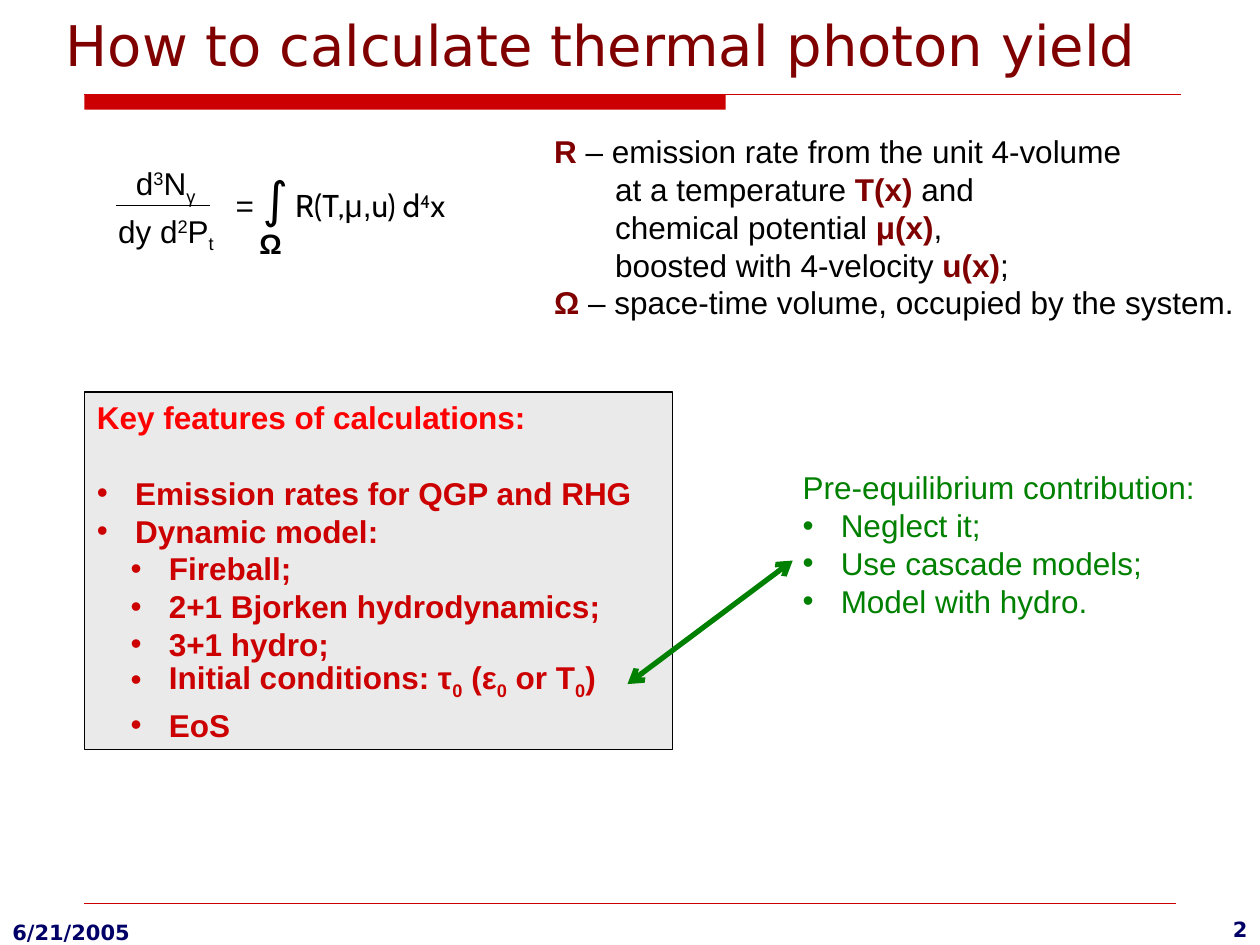
import pptx
import pptx.util
import pptx.dml.color
import pptx.enum.shapes
import pptx.enum.text
import pptx.oxml.ns
from lxml import etree

Cm = pptx.util.Cm
Pt = pptx.util.Pt
RGBColor = pptx.dml.color.RGBColor
qn = pptx.oxml.ns.qn
Align = pptx.enum.text.PP_ALIGN

BLACK = RGBColor(0x00, 0x00, 0x00)
MAROON = RGBColor(0x80, 0x00, 0x00)
RED = RGBColor(0xCC, 0x00, 0x00)
BRIGHT_RED = RGBColor(0xFF, 0x00, 0x00)
GREEN = RGBColor(0x00, 0x80, 0x00)
NAVY = RGBColor(0x00, 0x00, 0x66)
PANEL_GREY = RGBColor(0xEA, 0xEA, 0xEA)
LINE_PITCH = Pt(21.6)
SUPERSCRIPT, SUBSCRIPT = 30000, -25000


def add_run(paragraph, text, color=BLACK, bold=False, baseline=0, size=18, name="Arial"):
    run = paragraph.add_run()
    run.text = text
    run.font.name = name
    run.font.size = Pt(size)
    run.font.bold = bold
    run.font.color.rgb = color
    if baseline:
        run.font._element.set("baseline", str(baseline))


def add_text_box(left, top, width, height, wrap=False):
    shape = slide.shapes.add_textbox(Cm(left), Cm(top), Cm(width), Cm(height))
    shape.text_frame.word_wrap = wrap
    if not wrap:
        shape.text_frame.auto_size = pptx.enum.text.MSO_AUTO_SIZE.SHAPE_TO_FIT_TEXT
    return shape.text_frame


presentation = pptx.Presentation()
presentation.slide_width = Cm(25.4)
presentation.slide_height = Cm(19.05)
slide = presentation.slides.add_slide(presentation.slide_layouts[1])
title, key_features = slide.placeholders

# Title
title.left, title.top, title.width, title.height = Cm(1.07), Cm(0.51), Cm(22.23), Cm(1.19)
title.text_frame.auto_size = pptx.enum.text.MSO_AUTO_SIZE.NONE
title.text_frame.vertical_anchor = pptx.enum.text.MSO_ANCHOR.BOTTOM
title.text_frame.paragraphs[0].alignment = Align.LEFT
add_run(title.text_frame.paragraphs[0], "How to calculate thermal photon yield",
        MAROON, size=32, name="DejaVu Sans")

# Panel with the key features
key_features.left, key_features.top = Cm(1.7), Cm(7.9)
key_features.width, key_features.height = Cm(11.86), Cm(7.21)
key_features.fill.solid()
key_features.fill.fore_color.rgb = PANEL_GREY
key_features.line.color.rgb = BLACK
key_features.line.width = Pt(0.75)
key_features.text_frame.auto_size = pptx.enum.text.MSO_AUTO_SIZE.NONE

# Thick bar under the title
title_bar = slide.shapes.add_shape(pptx.enum.shapes.MSO_SHAPE.RECTANGLE,
                                   Cm(1.7), Cm(1.9), Cm(12.93), Cm(0.31))
title_bar.shadow.inherit = False
title_bar.fill.solid()
title_bar.fill.fore_color.rgb = RED
title_bar.line.fill.background()

# Rules, fraction bar and double arrow
lines = [
    (1.7, 1.9, 23.8, 1.9, RED, 0.75, False),
    (1.7, 18.21, 23.7, 18.21, RED, 0.25, False),
    (2.34, 4.14, 4.24, 4.14, BLACK, 0.75, False),
    (12.65, 13.79, 15.98, 11.3, GREEN, 3, True),
]
for x1, y1, x2, y2, color, width, arrows in lines:
    connector = slide.shapes.add_connector(pptx.enum.shapes.MSO_CONNECTOR.STRAIGHT,
                                           Cm(x1), Cm(y1), Cm(x2), Cm(y2))
    connector.line.color.rgb = color
    connector.line.width = Pt(width)
    if arrows:
        for end in ("a:headEnd", "a:tailEnd"):
            etree.SubElement(connector.line._get_or_add_ln(), qn(end), type="arrow")
    etree.SubElement(connector._element.spPr, qn("a:effectLst"))

# Yield formula
numerator = add_text_box(2.49, 3.18, 1.73, 1.12).paragraphs[0]
denominator = add_text_box(2.13, 4.14, 2.44, 1.12).paragraphs[0]
for paragraph, parts in (
    (numerator, (("d", 0), ("3", SUPERSCRIPT), ("N", 0), ("γ", SUBSCRIPT))),
    (denominator, (("dy d", 0), ("2", SUPERSCRIPT), ("P", 0), ("t", SUBSCRIPT))),
):
    for text, baseline in parts:
        add_run(paragraph, text, baseline=baseline)

integral = add_text_box(4.5, 3.28, 5.05, 1.45).paragraphs[0]
add_run(integral, "= ")
add_run(integral, "∫", size=28, name="Cabin")
add_run(integral, " R(T,", name="Cabin")
add_run(integral, "μ,")
add_run(integral, "u) d", name="Cabin")
add_run(integral, "4", baseline=SUPERSCRIPT, name="Cabin")
add_run(integral, "x", name="Cabin")
domain = add_text_box(4.98, 4.45, 0.94, 0.94).paragraphs[0]
add_run(domain, "Ω", bold=True, size=16)

# Explanation of symbols: text before, symbol, text after
legend = add_text_box(10.92, 2.54, 14.33, 4.06)
legend_lines = [
    ("", "R", " – emission rate from the unit 4-volume"),
    ("at a temperature ", "T(x)", " and"),
    ("chemical potential ", "μ(x)", ","),
    ("boosted with 4-velocity ", "u(x)", ";"),
    ("", "Ω ", "– space-time volume, occupied by the system."),
]
for index, (before, symbol, after) in enumerate(legend_lines):
    paragraph = legend.add_paragraph() if index else legend.paragraphs[0]
    paragraph.line_spacing = LINE_PITCH
    if before:
        paragraph._p.get_or_add_pPr().set("marL", str(Cm(1.23)))
        add_run(paragraph, before)
    add_run(paragraph, symbol, MAROON, bold=True)
    add_run(paragraph, after)

# Lists: heading, then (level, space before, run texts); every second run is a subscript
pre_equilibrium = add_text_box(15.93, 9.32, 8.41, 3.3)
lists = [
    (key_features.text_frame, "Key features of calculations:", BRIGHT_RED, RED, True, [
        (0, 21.6, ["Emission rates for QGP and RHG"]),
        (0, 0, ["Dynamic model:"]),
        (1, 0, ["Fireball;"]),
        (1, 0, ["2+1 Bjorken hydrodynamics;"]),
        (1, 0, ["3+1 hydro;"]),
        (1, 0, ["Initial conditions: τ", "0", " (ε", "0", " or T", "0", ")"]),
        (1, 2.8, ["EoS"]),
    ]),
    (pre_equilibrium, "Pre-equilibrium contribution:", GREEN, GREEN, False, [
        (0, 0, ["Neglect it;"]),
        (0, 0, ["Use cascade models;"]),
        (0, 0, ["Model with hydro."]),
    ]),
]
for frame, heading, heading_color, color, bold, items in lists:
    paragraph = frame.paragraphs[0]
    paragraph.line_spacing = LINE_PITCH
    paragraph.space_before = Pt(0)
    properties = paragraph._p.get_or_add_pPr()
    properties.set("marL", "0")
    properties.set("indent", "0")
    etree.SubElement(properties, qn("a:buNone"))
    add_run(paragraph, heading, heading_color, bold)
    for level, space, texts in items:
        paragraph = frame.add_paragraph()
        paragraph.level = level
        paragraph.line_spacing = LINE_PITCH
        paragraph.space_before = Pt(space)
        properties = paragraph._p.get_or_add_pPr()
        properties.set("marL", str(Cm(0.77 + 0.68 * level)))
        properties.set("indent", str(-Cm(0.77)))
        bullet_color = etree.SubElement(properties, qn("a:buClr"))
        etree.SubElement(bullet_color, qn("a:srgbClr"), val=str(color))
        etree.SubElement(properties, qn("a:buFont"), typeface="Arial")
        etree.SubElement(properties, qn("a:buChar"), char="•")
        for index, text in enumerate(texts):
            add_run(paragraph, text, color, bold, SUBSCRIPT if index % 2 else 0)

# Footer: date and page number
for left, top, width, height, text, alignment in (
    (0, 18.42, 10.59, 0.63, "6/21/2005", Align.LEFT),
    (19.89, 18.36, 5.51, 0.69, "2", Align.RIGHT),
):
    paragraph = add_text_box(left, top, width, height, wrap=True).paragraphs[0]
    paragraph.alignment = alignment
    add_run(paragraph, text, NAVY, bold=True, size=12, name="DejaVu Sans")

presentation.save("out.pptx")
